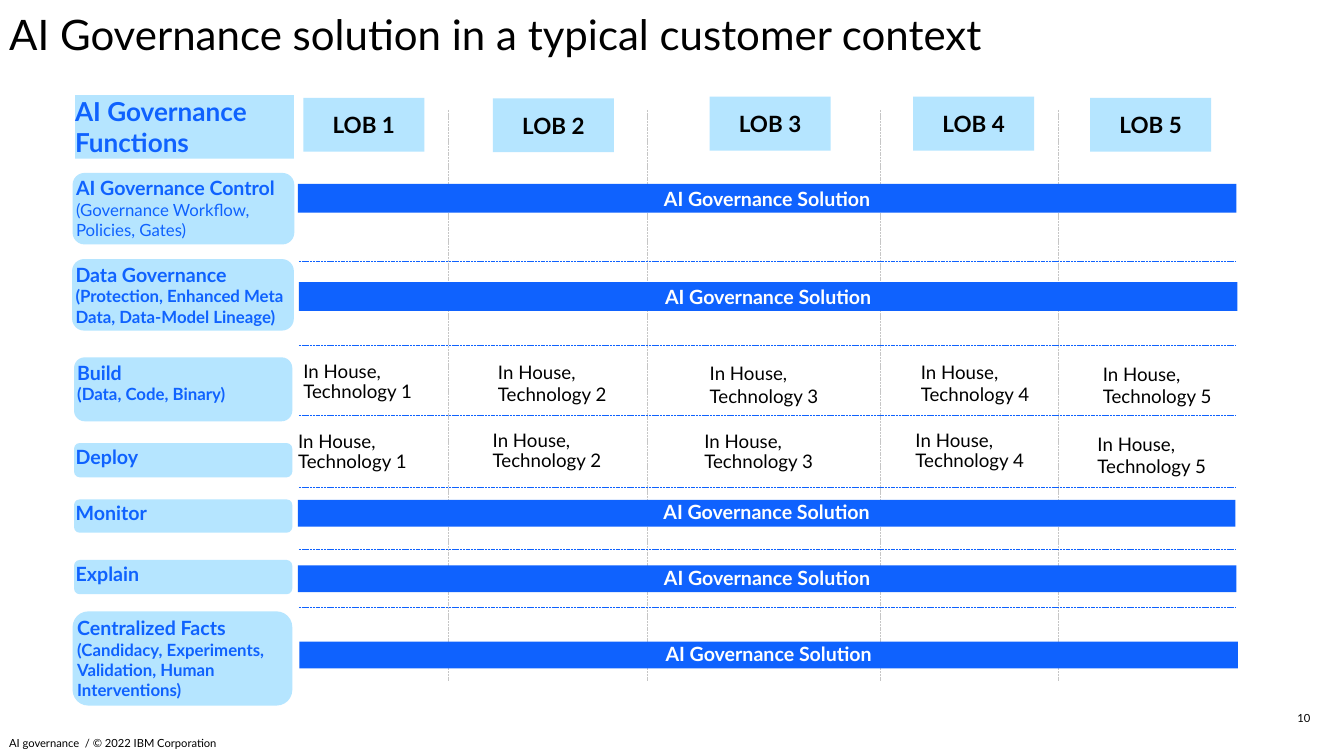
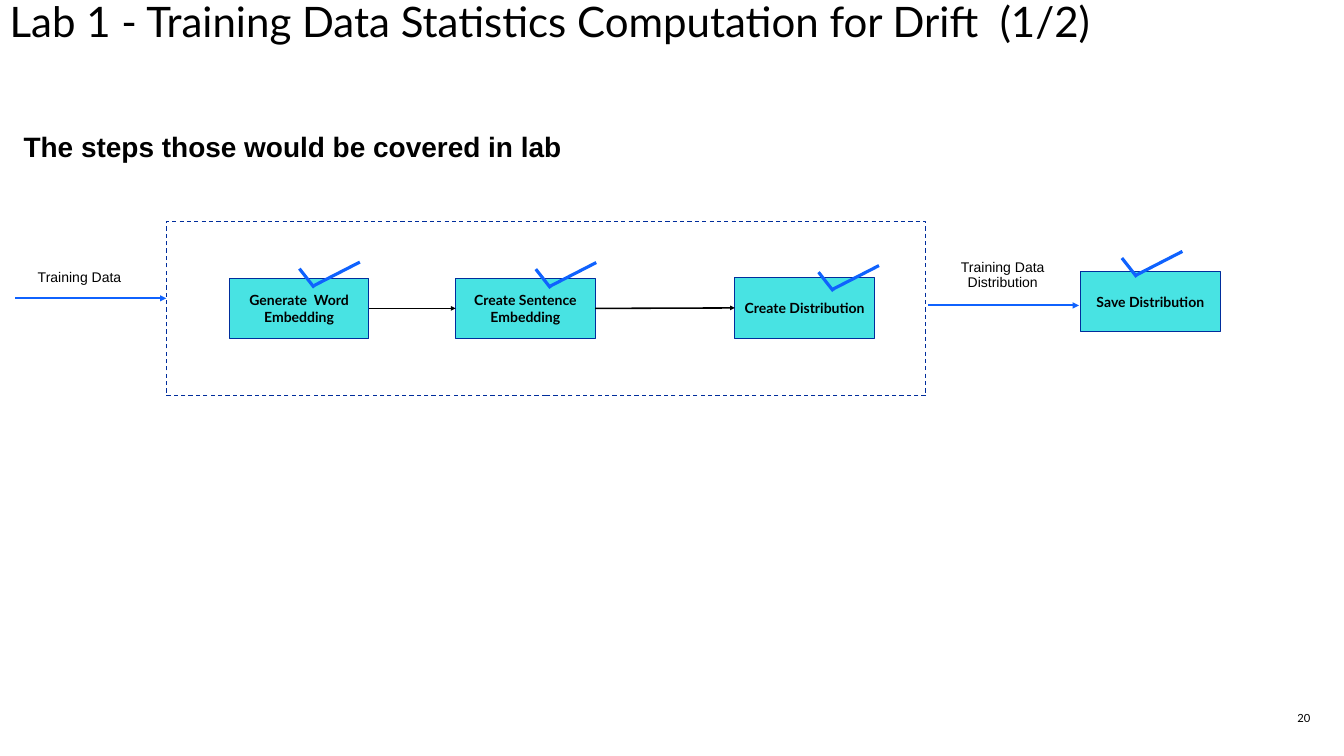
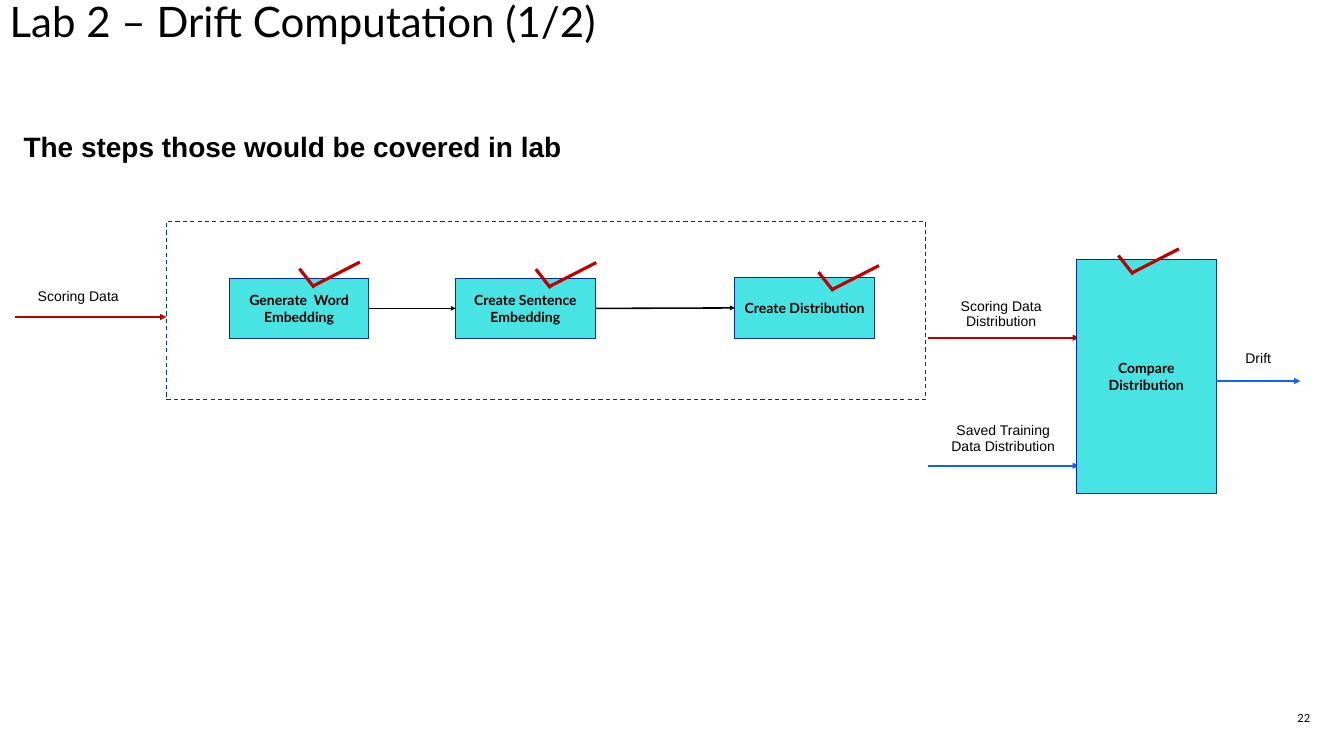
from dataclasses import dataclass

from lxml.etree import SubElement
from pptx import Presentation
from pptx.dml.color import RGBColor
from pptx.enum.dml import MSO_LINE as Dash
from pptx.enum.shapes import MSO_CONNECTOR as Connector, MSO_SHAPE as Preset
from pptx.enum.text import MSO_ANCHOR as Anchor, MSO_AUTO_SIZE as AutoSize, PP_ALIGN as Align
from pptx.oxml.ns import qn
from pptx.util import Pt


@dataclass(frozen=True)
class Theme:
    ink: str = "000000"
    white: str = "FFFFFF"
    blue: str = "0F62FE"
    pale_blue: str = "B5E5FF"
    navy: str = "002D9C"
    aqua: str = "48E3E3"
    red: str = "C00000"
    gray: str = "C6C6C6"
    display: str = "Lato"
    plain: str = "Arial"
    title_size: float = 60
    heading_size: float = 40
    functions_size: float = 37.3
    lob_size: float = 32
    function_size: float = 28
    technology_size: float = 26.7
    detail_size: float = 24
    step_size: float = 20
    footer_size: float = 16
    tight: float = 0.9


THEME = Theme()
STEP_WIDTH, STEP_HEIGHT = 199.4, 86.4
STEPS = [("Generate  Word Embedding", 327.6, 397.4),
         ("Create Sentence Embedding", 650.9, 397.4),
         ("Create Distribution", 1049.8, 396.7)]
STEP_CHECKS = [(427.7, 383.8), (765.4, 384.5), (1169.3, 388.8)]

DIVIDERS = [640.8, 924.5, 1257.1, 1512]
ROW_RULES = [373.7, 493.9, 594, 696.2, 784.8, 868.3]
LOBS = [(433.4, 139.7), (704.2, 140.4), (1013.8, 138.2), (1304.6, 138.2), (1557.4, 139.7)]
# name, detail, detail in bold, left, top, width, height
FUNCTIONS = [
    ("AI Governance Control", "(Governance Workflow, Policies, Gates)", False,
     103.7, 247, 316.8, 102.2),
    ("Data Governance", "(Protection, Enhanced Meta Data, Data-Model Lineage)", True,
     103, 370.1, 316.8, 102.2),
    ("Build", "(Data, Code, Binary)", True, 105.8, 510.5, 311.8, 91.4),
    ("Deploy", None, True, 105.8, 632.9, 311.8, 49),
    ("Monitor", None, True, 105.8, 713.5, 311.8, 47.5),
    ("Explain", None, True, 105.8, 799.9, 311.8, 49),
    ("Centralized Facts", "(Candidacy, Experiments, Validation, Human Interventions)", True,
     103.7, 873.4, 313.9, 134.6),
]
# left, top, width, height, line spacing
SOLUTION_BARS = [(425.5, 262.8, 1340.6, 41, 1), (427, 403.2, 1340.6, 41, 1),
                 (425.5, 714.2, 1339.2, 38.2, THEME.tight),
                 (425.5, 807.8, 1340.6, 38.2, THEME.tight),
                 (427.7, 916.6, 1340.6, 38.2, THEME.tight)]
BUILD_CELLS = [(433.4, 517.7), (711.4, 515.5), (1013.8, 517), (1315.4, 515.5), (1575.4, 517.7)]
# shift from the build row, number of tightly spaced cells
TECHNOLOGY_ROWS = [(0, 0, 1), (-7.6, 100.1, 4)]


def write(frame, text, *, size, font=THEME.display, color=THEME.ink, bold=False,
          align=Align.LEFT, spacing=1, anchor=Anchor.TOP, inset=(0, 0), wrap=True,
          grow=False, append=False):
    """Format one paragraph; append adds it below the text already in the frame."""
    frame.word_wrap = wrap
    frame.auto_size = AutoSize.SHAPE_TO_FIT_TEXT if grow else AutoSize.NONE
    frame.vertical_anchor = anchor
    frame.margin_left = frame.margin_right = Pt(inset[0])
    frame.margin_top = frame.margin_bottom = Pt(inset[1])
    paragraph = frame.add_paragraph() if append else frame.paragraphs[0]
    paragraph.text = text
    paragraph.alignment = align
    paragraph.line_spacing = spacing
    for run in paragraph.runs:
        run.font.name = font
        run.font.size = Pt(size)
        run.font.bold = bold
        run.font.color.rgb = RGBColor.from_string(color)


def add_text(slide, text, left, top, width, height, **style):
    box = slide.shapes.add_textbox(Pt(left), Pt(top), Pt(width), Pt(height))
    write(box.text_frame, text, **style)


def add_box(slide, left, top, width, height, *, preset=Preset.RECTANGLE, fill=None,
            outline=None, dash=None):
    box = slide.shapes.add_shape(preset, Pt(left), Pt(top), Pt(width), Pt(height))
    box.shadow.inherit = False
    if fill:
        box.fill.solid()
        box.fill.fore_color.rgb = RGBColor.from_string(fill)
    else:
        box.fill.background()
    if outline:
        box.line.color.rgb = RGBColor.from_string(outline)
        box.line.width = Pt(1.5)
        box.line.dash_style = dash
    else:
        box.line.fill.background()
    return box.text_frame


def add_line(shapes, start, end, color, width, *, dash=None, arrow=False):
    line = shapes.add_connector(Connector.STRAIGHT, *map(Pt, (*start, *end)))
    line.line.color.rgb = RGBColor.from_string(color)
    line.line.width = Pt(width)
    line.line.dash_style = dash
    properties = line._element.spPr
    if arrow:
        SubElement(properties.find(qn("a:ln")), qn("a:tailEnd"), type="triangle")
    SubElement(properties, qn("a:effectLst"))


def add_check(slide, left, top, color):
    strokes = slide.shapes.add_group_shape().shapes
    add_line(strokes, (left, top), (left + 21.2, top + 27), color, 4.5)
    add_line(strokes, (left + 21.2, top + 24), (left + 86.4, top - 9.4), color, 4.5)


def start_slide(deck, title, number, left, top, width, height, spacing=1):
    """Add a title-only slide with its title and page number."""
    slide = deck.slides.add_slide(deck.slide_layouts[5])
    heading = slide.shapes.title
    heading.left, heading.top, heading.width, heading.height = map(Pt, (left, top, width, height))
    write(heading.text_frame, title, size=THEME.title_size, spacing=spacing)
    add_text(slide, number, 1488.2, 1008, 383.8, 35.3, size=THEME.footer_size,
             align=Align.RIGHT, anchor=Anchor.MIDDLE)
    return slide


def add_function(slide, name, detail, detail_bold, *place):
    frame = add_box(slide, *place, preset=Preset.ROUNDED_RECTANGLE, fill=THEME.pale_blue)
    write(frame, name, size=THEME.function_size, color=THEME.blue, bold=True)
    if detail:
        write(frame, detail, size=THEME.detail_size, color=THEME.blue,
              bold=detail_bold, append=True)


def add_solution_bar(slide, left, top, width, height, spacing):
    write(add_box(slide, left, top, width, height, fill=THEME.blue), "AI Governance Solution",
          size=THEME.function_size, color=THEME.white, bold=True, align=Align.CENTER,
          anchor=Anchor.MIDDLE, inset=(7.2, 3.6), spacing=spacing, grow=True)


def add_step(slide, text, left, top, height=STEP_HEIGHT):
    frame = add_box(slide, left, top, STEP_WIDTH, height, fill=THEME.aqua, outline=THEME.navy)
    write(frame, text, size=THEME.step_size, bold=True, align=Align.CENTER,
          anchor=Anchor.MIDDLE, inset=(7.2, 7.2))


def add_flow(slide, left, right, y, color):
    add_line(slide.shapes, (left, y), (right, y), color, 3, arrow=True)


def add_flow_label(slide, text, left, top, width, height=58.3, align=Align.CENTER, wrap=True):
    add_text(slide, text, left, top, width, height, size=THEME.step_size, font=THEME.plain,
             align=align, spacing=THEME.tight, inset=(7.2, 7.2), wrap=wrap, grow=True)


def build_context_slide(deck):
    slide = start_slide(deck, "AI Governance solution in a typical customer context", "10",
                        13, 11.5, 1840.3, 97.2)
    add_text(slide, "AI governance  / © 2022 IBM Corporation", 13, 1044, 864, 35.3,
             size=THEME.footer_size, anchor=Anchor.MIDDLE)
    for x in DIVIDERS:
        add_line(slide.shapes, (x, 157), (x, 972.7), THEME.gray, 1, dash=Dash.SQUARE_DOT)
    for y in ROW_RULES:
        add_line(slide.shapes, (427, y), (1766.2, y), THEME.blue, 1, dash=Dash.SQUARE_DOT)

    write(add_box(slide, 107.3, 136.1, 312.5, 90.7, fill=THEME.pale_blue),
          "AI Governance Functions", size=THEME.functions_size, color=THEME.blue,
          bold=True, grow=True)
    for number, (left, top) in enumerate(LOBS, 1):
        write(add_box(slide, left, top, 172.8, 77, fill=THEME.pale_blue), f"LOB {number}",
              size=THEME.lob_size, bold=True, align=Align.CENTER, anchor=Anchor.MIDDLE)

    for function in FUNCTIONS:
        add_function(slide, *function)
    for bar in SOLUTION_BARS:
        add_solution_bar(slide, *bar)
    for shift_x, shift_y, tight_cells in TECHNOLOGY_ROWS:
        for number, (left, top) in enumerate(BUILD_CELLS, 1):
            tight = number <= tight_cells
            add_text(slide, f"In House, \vTechnology {number}", left + shift_x, top + shift_y,
                     187.2 if number == 1 else 203.8, 58.3 if tight else 64.8,
                     size=THEME.technology_size, spacing=THEME.tight if tight else 1, grow=True)


def start_lab_slide(deck, title, number, source, source_width, source_y, frame_height, accent):
    """Add the embedding pipeline that both labs share, with its incoming data."""
    slide = start_slide(deck, title, number, 13.7, 2.2, 1843.9, 86.4, THEME.tight)
    add_text(slide, "The steps those would be covered in lab", 26.6, 186.5, 1867.7, 51.1,
             size=THEME.heading_size, font=THEME.plain, bold=True, spacing=THEME.tight,
             inset=(7.2, 3.6), grow=True)
    for step in STEPS:
        add_step(slide, *step)
    for (_, left, top), (_, next_left, next_top) in zip(STEPS, STEPS[1:]):
        add_line(slide.shapes, (left + STEP_WIDTH, top + STEP_HEIGHT / 2),
                 (next_left, next_top + STEP_HEIGHT / 2), THEME.ink, 2.25, arrow=True)
    add_box(slide, 237.6, 316.8, 1085, frame_height, outline=THEME.navy, dash=Dash.DASH)
    add_flow(slide, 21.6, 237.6, source_y, accent)
    add_flow_label(slide, source, 46.8, source_y - 46.8, source_width, 36, Align.LEFT, wrap=False)
    for left, top in STEP_CHECKS:
        add_check(slide, left, top, accent)
    return slide


def build_training_slide(deck):
    slide = start_lab_slide(deck, "Lab 1 - Training Data Statistics Computation for Drift  (1/2)",
                            "20", "Training Data", 136.1, 426.2, 248.4, THEME.blue)
    add_flow(slide, 1325.5, 1541.5, 436.3, THEME.blue)
    add_flow_label(slide, "Training Data Distribution", 1352.2, 364.3, 160.6)
    add_step(slide, "Save Distribution", 1543.7, 387.4)
    add_check(slide, 1602.7, 368.6, THEME.blue)


def build_drift_slide(deck):
    slide = start_lab_slide(deck, "Lab 2 – Drift Computation (1/2)", "22",
                            "Scoring Data", 131, 452.9, 254.2, THEME.red)
    add_flow(slide, 1325.5, 1541.5, 482.4, THEME.red)
    add_flow_label(slide, "Scoring Data Distribution", 1350, 420.5, 160.6)
    add_flow(slide, 1325.5, 1541.5, 665.3, THEME.blue)
    add_flow_label(slide, "Saved Training Data Distribution", 1339.2, 598.3, 187.9)
    add_step(slide, "Compare Distribution", 1537.9, 370.1, 335.5)
    add_flow(slide, 1737.4, 1857.6, 544.3, THEME.blue)
    add_flow_label(slide, "Drift", 1717.2, 495.4, 160.6, 36)
    add_check(slide, 1597.7, 365, THEME.red)


def main():
    deck = Presentation()
    deck.slide_width, deck.slide_height = Pt(1920), Pt(1080)
    build_context_slide(deck)
    build_training_slide(deck)
    build_drift_slide(deck)
    deck.save("out.pptx")


if __name__ == "__main__":
    main()
